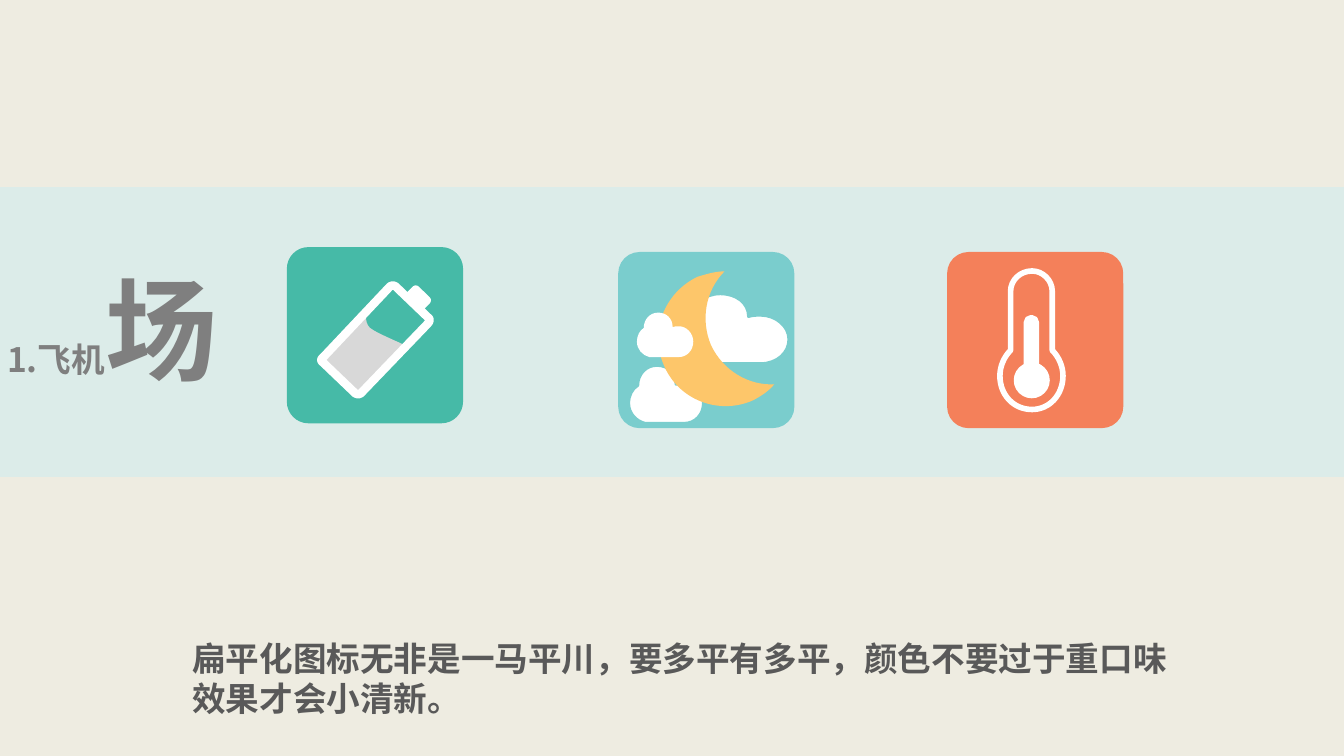
from dataclasses import dataclass
from math import cos, radians, sin

from lxml import etree
from pptx import Presentation
from pptx.dml.color import RGBColor
from pptx.enum.shapes import MSO_SHAPE
from pptx.enum.text import MSO_ANCHOR, MSO_AUTO_SIZE, PP_ALIGN
from pptx.oxml.ns import qn
from pptx.util import Pt

RECT = MSO_SHAPE.RECTANGLE
ROUND = MSO_SHAPE.ROUNDED_RECTANGLE
OVAL = MSO_SHAPE.OVAL
TOP = MSO_ANCHOR.TOP
LEFT = PP_ALIGN.LEFT
NO_FIT = MSO_AUTO_SIZE.NONE

JP = "Noto Sans CJK JP"
SC = "Noto Sans CJK SC"
COLORS = {
    "background": "EEECE1", "band": "DCECE9", "green": "46BAA7", "charge": "D8D8D8",
    "white": "FFFFFF", "sky": "7ACDCD", "coral": "F4805A", "moon": "FDC66A",
    "title": "7F7F7F", "caption": "595959",
}
TILE_SIZE = 94.4
BATTERY_TILT = 43.9


@dataclass(frozen=True)
class Style:
    fill: str | None = None
    line: str | None = None
    weight: float = 0


@dataclass(frozen=True)
class Preset:
    kind: MSO_SHAPE
    box: tuple[float, float, float, float]
    style: Style
    radius: float | None = None
    rotation: float = 0


@dataclass(frozen=True)
class Outline:
    width: float
    height: float
    steps: tuple[tuple[float, ...], ...]


@dataclass(frozen=True)
class Drawing:
    outline: Outline
    box: tuple[float, float, float, float]
    style: Style
    rotation: float = 0


CLOUD = Outline(82, 52, (
    (31, 0), (43, 0, 52, 7, 52, 17), (55, 16, 58, 16, 61, 16),
    (72, 16, 82, 24, 82, 34), (82, 44, 73, 52, 61, 52), (18, 52),
    (8, 50, 0, 43, 0, 34), (0, 27, 4, 21, 10, 18), (10, 8, 19, 0, 31, 0)))
MOON = Outline(93, 100, (
    (36, 4), (43, 2, 49, 0, 56, 0), (42, 14, 38, 36, 46, 55),
    (55, 74, 74, 85, 93, 84), (89, 89, 83, 93, 77, 96),
    (52, 107, 22, 96, 11, 70), (0, 45, 11, 16, 36, 4)))
BATTERY = Outline(82, 82, (
    (56, 1), (55, 0, 53, 0, 52, 1), (2, 54), (0, 55, 0, 57, 2, 58), (26, 81),
    (27, 82, 29, 82, 30, 81), (80, 29), (82, 27, 82, 25, 80, 24)))
CHARGE = Outline(62, 63, (
    (34, 0), (34, 2, 31, 9, 36, 14), (41, 18, 61, 26, 62, 27), (29, 63), (0, 35)))
THERMOMETER = Outline(47, 103, (
    (24, 0), (32, 0, 39, 7, 39, 15), (39, 59), (44, 64, 47, 71, 47, 78),
    (47, 92, 37, 103, 24, 103), (10, 103, 0, 92, 0, 78), (0, 71, 3, 64, 8, 59),
    (8, 15), (8, 7, 15, 0, 24, 0)))


def rounded(w: float, h: float, r: float) -> Outline:
    k = r * 0.45
    return Outline(w, h, (
        (r, 0), (k, 0, 0, k, 0, r), (0, h - r), (0, h - k, k, h, r, h),
        (w - r, h), (w - k, h, w, h - k, w, h - r), (w, r), (w, k, w - k, 0, w - r, 0)))


def tile(left: float, top: float, color: str) -> Preset:
    return Preset(ROUND, (left, top, TILE_SIZE, TILE_SIZE), Style(color), 0.122)


SOLID = Style("white", "white", 2)
EDGED_CLOUD = Style("white", "sky", 1.5)
ITEMS = (
    Preset(RECT, (0, 101.2, 720, 153.4), Style("band", "band", 2)),
    Drawing(rounded(131, 131, 16), (153.7, 132.4, TILE_SIZE, TILE_SIZE), Style("green")),
    Drawing(CHARGE, (172.3, 165.6, 44.6, 45.4), Style("charge"), BATTERY_TILT),
    Drawing(BATTERY, (171.7, 152.7, 58.8, 58.8), Style(None, "white", 4.5), BATTERY_TILT),
    Preset(ROUND, (218.4, 156, 10.8, 7.9), SOLID, 0.167, BATTERY_TILT),
    tile(331.2, 135, "sky"),
    Drawing(CLOUD, (363.6, 157.4, 59, 37.4), EDGED_CLOUD),
    Drawing(CLOUD, (336.8, 195.8, 40, 31), EDGED_CLOUD),
    tile(507.4, 135, "coral"),
    Drawing(THERMOMETER, (535.7, 145.2, 33.8, 74.2), Style(None, "white", 3)),
    Preset(OVAL, (544.1, 195.1, 17.3, 17.3), SOLID),
    Drawing(rounded(9, 51, 4), (549.4, 169.8, 6.2, 36.7), SOLID),
    Drawing(MOON, (347.8, 145.4, 67, 72), Style("moon"), -23.9),
    Drawing(CLOUD, (341.2, 167.5, 30.2, 23.8), Style("white")),
)


def rgb(name: str) -> RGBColor:
    return RGBColor.from_string(COLORS[name])


def apply_style(sp, style: Style) -> None:
    sp.shadow.inherit = False
    if style.fill:
        sp.fill.solid()
        sp.fill.fore_color.rgb = rgb(style.fill)
    else:
        sp.fill.background()
    if style.line:
        sp.line.color.rgb = rgb(style.line)
        sp.line.width = Pt(style.weight)
    else:
        sp.line.fill.background()


def draw_preset(s, item: Preset) -> None:
    sp = s.shapes.add_shape(item.kind, *map(Pt, item.box))
    if item.radius is not None:
        sp.adjustments[0] = item.radius
    sp.rotation = item.rotation
    apply_style(sp, item.style)


def turn(x: float, y: float, degrees: float) -> tuple[float, float]:
    c, n = cos(radians(degrees)), sin(radians(degrees))
    return x * c - y * n, x * n + y * c


def merge_curves(sp, steps: tuple[tuple[float, ...], ...]) -> None:
    lines = iter(sp.element.findall(".//" + qn("a:lnTo")))
    for step in steps[1:]:
        first = next(lines)
        if len(step) == 6:
            curve = etree.Element(qn("a:cubicBezTo"))
            first.addprevious(curve)
            for line in (first, next(lines), next(lines)):
                curve.append(line[0])
                line.getparent().remove(line)


def draw_outline(s, item: Drawing) -> None:
    left, top, width, height = item.box
    points = []
    for step in item.outline.steps:
        for x, y in zip(step[::2], step[1::2]):
            px, py = turn(left + x * width / item.outline.width,
                          top + y * height / item.outline.height, -item.rotation)
            points.append((Pt(px), Pt(py)))
    builder = s.shapes.build_freeform(*points[0])
    builder.add_line_segments(points[1:], close=True)
    sp = builder.convert_to_shape()
    merge_curves(sp, item.outline.steps)
    cx, cy = turn(sp.left + sp.width / 2, sp.top + sp.height / 2, item.rotation)
    sp.left, sp.top = round(cx - sp.width / 2), round(cy - sp.height / 2)
    sp.rotation = item.rotation
    apply_style(sp, item.style)


def add_run(p, text: str, *, size: float, font: str, color: str) -> None:
    r = p.add_run()
    r.text = text
    r.font.size = Pt(size)
    r.font.bold = True
    r.font.name = font
    r.font.color.rgb = rgb(color)
    etree.SubElement(r.font._element, qn("a:ea"), typeface=font)


def set_frame(tf) -> None:
    tf.word_wrap = False
    tf.auto_size = NO_FIT
    tf.vertical_anchor = TOP
    tf.margin_left = tf.margin_right = Pt(7.2)
    tf.margin_top = tf.margin_bottom = Pt(3.6)


def set_paragraph(p, *, spacing: float) -> None:
    p.alignment = LEFT
    p.line_spacing = Pt(spacing)
    p.space_before = p.space_after = Pt(0)


def add_title(s) -> None:
    title = s.shapes.title
    title.left, title.top, title.width, title.height = map(Pt, (-3.4, 136.1, 136.1, 79.2))
    title.element.getparent().append(title.element)
    set_frame(title.text_frame)
    p = title.text_frame.paragraphs[0]
    set_paragraph(p, spacing=72)
    for text, size, font in (("1.", 18, JP), ("飞机", 18, SC), ("场", 60, JP)):
        add_run(p, text, size=size, font=font, color="title")


def add_caption(s) -> None:
    tf = s.shapes.add_textbox(*map(Pt, (95.9, 338.2, 536.4, 50.4))).text_frame
    set_frame(tf)
    lines = ("扁平化图标无非是一马平川，要多平有多平，颜色不要过于重口味", "效果才会小清新。")
    for i, text in enumerate(lines):
        p = tf.add_paragraph() if i else tf.paragraphs[0]
        set_paragraph(p, spacing=21.6)
        add_run(p, text, size=18, font=SC, color="caption")


def main() -> None:
    prs = Presentation()
    prs.slide_width, prs.slide_height = Pt(720), Pt(405)
    s = prs.slides.add_slide(prs.slide_layouts[5])
    s.background.fill.solid()
    s.background.fill.fore_color.rgb = rgb("background")
    for item in ITEMS:
        if isinstance(item, Preset):
            draw_preset(s, item)
        else:
            draw_outline(s, item)
    add_title(s)
    add_caption(s)
    prs.save("out.pptx")


if __name__ == "__main__":
    main()
